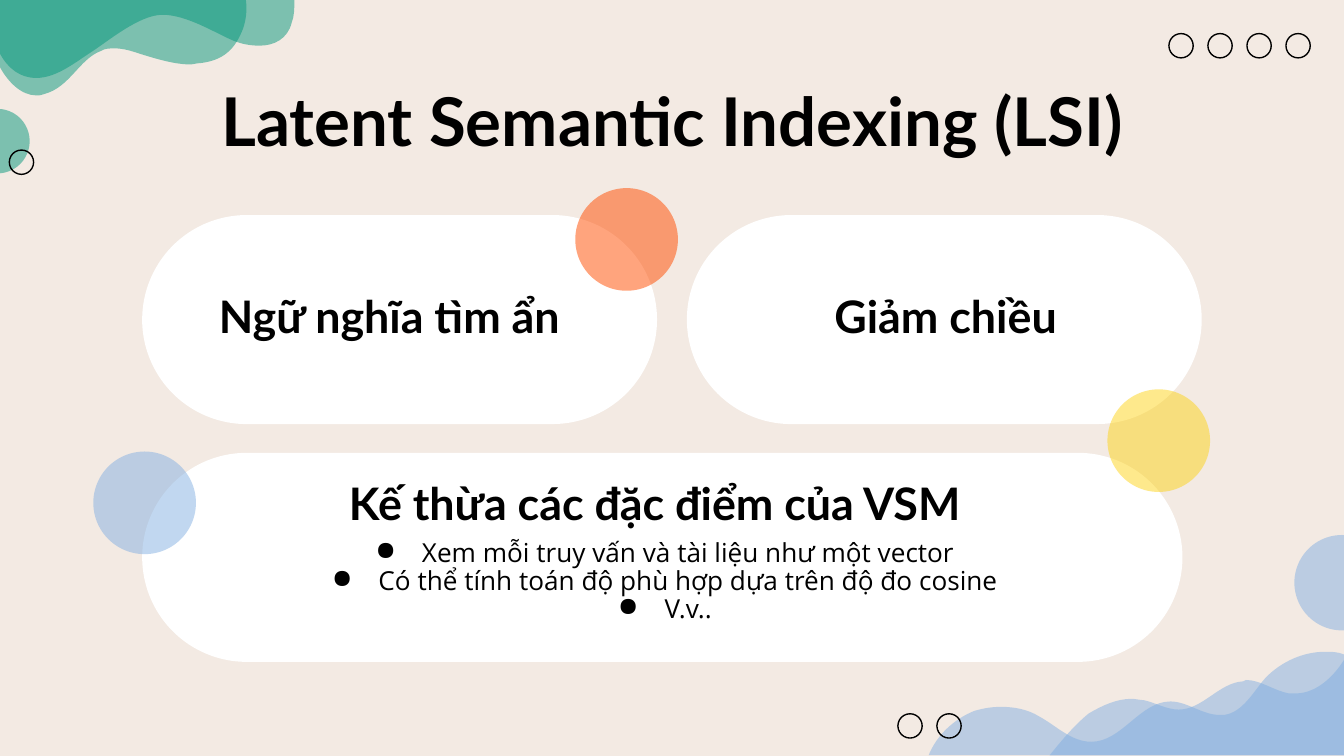
from lxml.etree import SubElement
from pptx import Presentation
from pptx.dml.color import RGBColor
from pptx.enum.shapes import MSO_SHAPE as Preset
from pptx.enum.text import MSO_ANCHOR as Anchor, MSO_AUTO_SIZE as AutoSize, PP_ALIGN as Align
from pptx.oxml.ns import qn
from pptx.util import Pt

BACKGROUND, BLACK, WHITE = "F3EAE3", "000000", "FFFFFF"
GREEN, BLUE, ORANGE, YELLOW = "01967A", "7CACE1", "FF4D01", "FED002"
BLOB_UNIT = 0.72

BLOBS = [
    (GREEN, 49, (0, 0), [
        (0, 50), (6, 61, 16, 71, 27, 71), (29, 71, 31, 71, 33, 70),
        (52, 65, 59, 44, 75, 38), (78, 36, 82, 36, 85, 36),
        (92, 36, 98, 38, 104, 40), (117, 44, 130, 48, 142, 48),
        (144, 48, 146, 47, 149, 47), (166, 45, 175, 37, 181, 21),
        (183, 15, 184, 8, 183, 0)]),
    (GREEN, 49, (0, 0), [
        (0, 40), (6, 51, 15, 58, 27, 58), (41, 58, 54, 48, 66, 40),
        (79, 32, 103, 11, 121, 11), (139, 11, 161, 25, 173, 30),
        (180, 33, 187, 34, 193, 34), (204, 34, 214, 29, 217, 17),
        (219, 12, 219, 6, 219, 0)]),
    (BLUE, 47, (1000, 491), [
        (1000, 562), (781, 562), (790, 551, 799, 540, 810, 531),
        (820, 525, 831, 520, 842, 520), (845, 520, 848, 521, 851, 521),
        (860, 523, 868, 528, 877, 528), (895, 528, 907, 508, 925, 507),
        (926, 506, 926, 506, 927, 506), (938, 506, 948, 514, 959, 516),
        (961, 516, 962, 516, 964, 516), (979, 516, 992, 504, 1000, 491)]),
    (BLUE, 47, (986, 485), [
        (970, 485, 954, 492, 942, 504), (933, 514, 925, 530, 911, 532),
        (910, 532, 909, 532, 907, 532), (895, 532, 883, 522, 871, 522),
        (848, 522, 835, 552, 812, 552), (797, 552, 786, 540, 773, 533),
        (765, 528, 755, 526, 745, 526), (738, 526, 732, 527, 725, 529),
        (710, 535, 697, 547, 691, 562), (1000, 562), (1000, 487),
        (995, 485, 991, 485, 986, 485)]),
]


def colour(value):
    return RGBColor.from_string(value)


def paint(shape, fill, opacity=100):
    shape.shadow.inherit = False
    shape.line.fill.background()
    shape.fill.solid()
    shape.fill.fore_color.rgb = colour(fill)
    if opacity < 100:
        solid = shape.fill._xPr.find(qn("a:solidFill"))
        SubElement(solid[0], qn("a:alpha"), val=str(opacity * 1000))


def add_blob(page, fill, opacity, start, segments):
    points = [pair for part in segments for pair in zip(part[::2], part[1::2])]
    builder = page.shapes.build_freeform(*start, scale=Pt(BLOB_UNIT))
    builder.add_line_segments(points, close=True)
    shape = builder.convert_to_shape()
    outline = shape._element.find(".//" + qn("a:path"))
    lines = iter(outline.findall(qn("a:lnTo")))
    for part in segments:
        if len(part) == 2:
            next(lines)
            continue
        pieces = [next(lines) for _ in range(3)]
        curve = outline.makeelement(qn("a:cubicBezTo"))
        pieces[0].addprevious(curve)
        for piece in pieces:
            curve.append(piece[0])
            outline.remove(piece)
    paint(shape, fill, opacity)


def add_disc(page, left, top, size, fill, opacity):
    disc = page.shapes.add_shape(Preset.OVAL, Pt(left), Pt(top), Pt(size), Pt(size))
    paint(disc, fill, opacity)


def add_rings(page, left, top, count):
    for index in range(count):
        ring = page.shapes.add_shape(
            Preset.OVAL, Pt(left + 20.9 * index), Pt(top), Pt(13), Pt(13))
        ring.shadow.inherit = False
        ring.fill.background()
        ring.line.color.rgb = colour(BLACK)
        ring.line.width = Pt(0.75)


def add_card(page, left, top, width):
    card = page.shapes.add_shape(
        Preset.ROUNDED_RECTANGLE, Pt(left), Pt(top), Pt(width), Pt(112))
    card.adjustments[0] = 0.5
    paint(card, WHITE)


def add_bullet(para):
    properties = para._p.get_or_add_pPr()
    properties.set("marL", str(Pt(36)))
    properties.set("indent", str(Pt(-25)))
    bullet_colour = SubElement(properties, qn("a:buClr"))
    SubElement(bullet_colour, qn("a:srgbClr"), val=BLACK)
    SubElement(properties, qn("a:buChar"), char="●")


def write(box, *lines, size=24, font="Lato", bold=True, align=Align.CENTER,
          anchor=Anchor.BOTTOM, bullets=False, spacing=None):
    frame = box.text_frame
    frame.word_wrap = True
    frame.auto_size = AutoSize.NONE
    frame.vertical_anchor = anchor
    frame.margin_left = frame.margin_right = Pt(7.2)
    frame.margin_top = frame.margin_bottom = Pt(7.2)
    for index, line in enumerate(lines):
        para = frame.add_paragraph() if index else frame.paragraphs[0]
        para.alignment = align
        if spacing:
            para.line_spacing = spacing
        if bullets:
            add_bullet(para)
        span = para.add_run()
        span.text = line
        span.font.name = font
        span.font.size = Pt(size)
        span.font.bold = bold
        span.font.color.rgb = colour(BLACK)


def add_text(page, left, top, width, height, *lines, **style):
    box = page.shapes.add_textbox(Pt(left), Pt(top), Pt(width), Pt(height))
    write(box, *lines, **style)


def add_title(page, text):
    title = page.shapes.title
    title.left, title.top, title.width, title.height = Pt(56.2), Pt(35.3), Pt(607.7), Pt(58.3)
    write(title, text, size=36, anchor=Anchor.TOP)


def main():
    deck = Presentation()
    deck.slide_width, deck.slide_height = Pt(720), Pt(405)
    page = deck.slides.add_slide(deck.slide_layouts[5])
    page.background.fill.solid()
    page.background.fill.fore_color.rgb = colour(BACKGROUND)

    for blob in BLOBS:
        add_blob(page, *blob)
    add_disc(page, -18.7, 58.3, 34.6, GREEN, 49)
    add_disc(page, 693.4, 286.6, 51.1, BLUE, 47)
    add_rings(page, 626.2, 18, 4)
    add_rings(page, 5, 80.4, 1)
    add_rings(page, 481, 382.4, 2)

    add_title(page, "Latent Semantic Indexing (LSI)")
    add_card(page, 76.2, 115.2, 275.8)
    add_card(page, 76.2, 242.6, 557.3)
    add_card(page, 368, 115.2, 275.8)
    add_text(page, 110.2, 149, 206.6, 41.8, "Ngữ nghĩa tìm ẩn", align=Align.LEFT)
    add_text(page, 92.2, 249.1, 517, 41.8, "Kế thừa các đặc điểm của VSM")
    add_text(page, 92.2, 282.2, 517, 65.5,
             "Xem mỗi truy vấn và tài liệu như một vector",
             "Có thể tính toán độ phù hợp dựa trên độ đo cosine",
             "V.v..",
             size=14, font="Open Sans", bold=False, anchor=Anchor.TOP,
             bullets=True, spacing=0.89)
    add_text(page, 404, 149, 205.2, 41.8, "Giảm chiều")

    add_disc(page, 308.2, 100.8, 55, ORANGE, 51)
    add_disc(page, 50, 241.9, 55, BLUE, 47)
    add_disc(page, 593.3, 208.6, 55, YELLOW, 45)
    deck.save("out.pptx")


if __name__ == "__main__":
    main()
